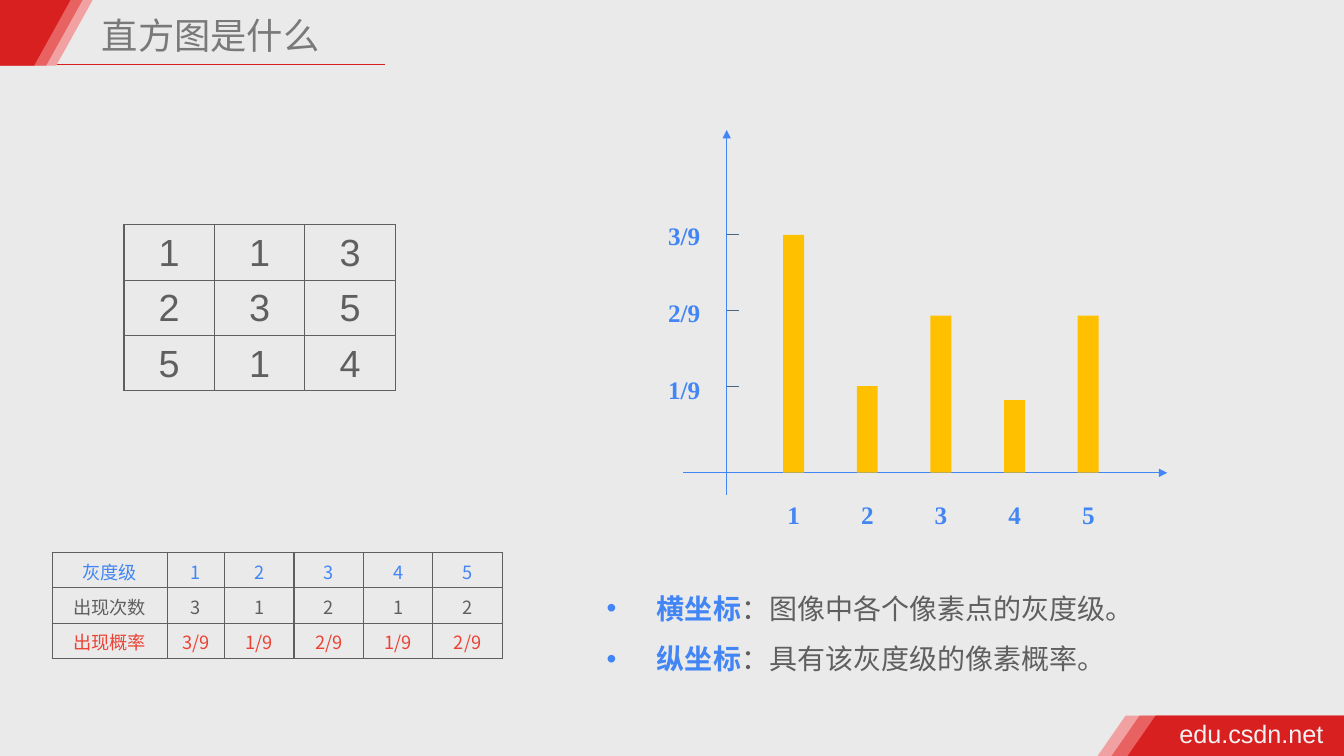
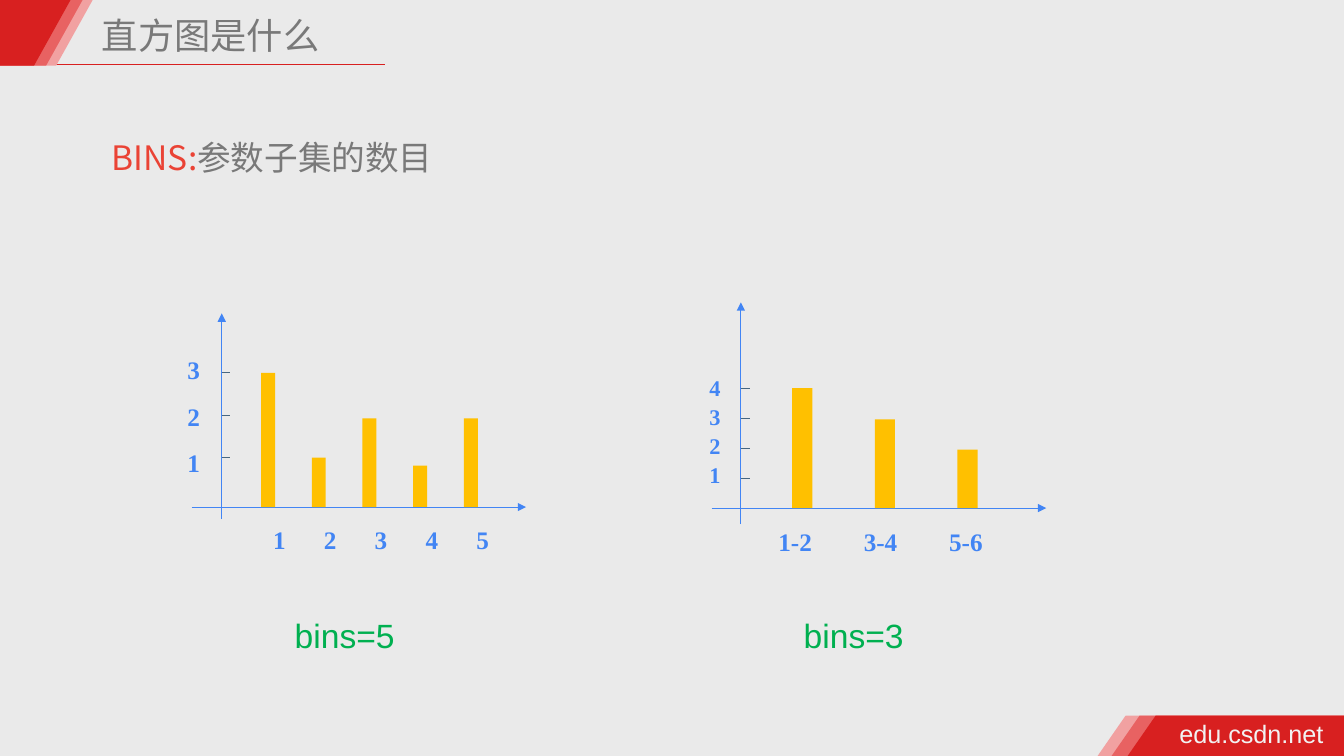
from lxml.etree import SubElement
from pptx import Presentation
from pptx.dml.color import RGBColor
from pptx.enum.shapes import MSO_CONNECTOR, MSO_SHAPE
from pptx.enum.text import MSO_ANCHOR, PP_ALIGN
from pptx.oxml.ns import qn
from pptx.util import Pt

COLORS = {
    "background": "EAEAEA", "red": "D82020", "coral": "E86262", "pink": "F1A1A1",
    "footer": "F2F2F2", "title": "797979", "body": "5F5F5F", "blue": "4285F4",
    "accent": "EA4335", "bar": "FFC000", "tick": "476781", "green": "00B050",
}
SANS, CJK, SERIF = "Arial", "Noto Sans CJK SC", "Times New Roman"
WIDTH, HEIGHT = 960, 540

# Content
TITLE = "直方图是什么"
FOOTER = "edu.csdn.net"
PIXELS = {
    "at": (88.6, 160.6), "columns": [64.6] * 3, "row": 39.5,
    "rows": [["1", "1", "3"], ["2", "3", "5"], ["5", "1", "4"]],
    "colors": ["body"] * 3, "font": {"size": 27, "name": SANS},
}
FREQUENCIES = {
    "at": (37.4, 394.6), "columns": [82.1, 41] + [49.6] * 4, "row": 25.3,
    "rows": [
        ["灰度级", "1", "2", "3", "4", "5"],
        ["出现次数", "3", "1", "2", "1", "2"],
        ["出现概率", "3/9", "1/9", "2/9", "1/9", "2/9"],
    ],
    "colors": ["blue", "body", "accent"], "font": {"size": 13, "name": CJK},
}
AXIS_NOTES = [
    ("横坐标", "：图像中各个像素点的灰度级。"),
    ("纵坐标", "：具有该灰度级的像素概率。"),
]
BINS_HEADING = [("BINS:", "accent"), ("参数子集的数目", "title")]
BINS_CAPTIONS = [("bins=5", 246.2), ("bins=3", 609.8)]

# Histograms: "first, step" pairs place the bars, ticks and labels
PROBABILITY = {
    "x_axis": (488.2, 833.8, 337.7), "y_axis": (519.1, 353.5, 92.9),
    "bars": (559.4, 52.6), "bar_width": 15,
    "bar_tops": [167.8, 275.8, 225.4, 285.8, 225.4],
    "x_labels": ["1", "2", "3", "4", "5"], "x_centers": (567, 52.6), "x_label_top": 352.8,
    "y_labels": ["3/9", "2/9", "1/9"], "y_label_at": (470.2, 154), "y_label_step": 55.1,
    "ticks": (167.8, 54), "tick_length": 8.6, "y_label_size": 18,
}
FIVE_BINS = {
    "x_axis": (136.8, 375.8, 362.2), "y_axis": (158.4, 370.8, 223.9),
    "bars": (186.5, 36.2), "bar_width": 10,
    "bar_tops": [266.4, 326.9, 298.8, 332.6, 298.8],
    "x_labels": ["1", "2", "3", "4", "5"], "x_centers": (199.6, 36.3), "x_label_top": 370.8,
    "y_labels": ["3", "2", "1"], "y_label_at": (126.7, 249.8), "y_label_step": 33.1,
    "ticks": (266.4, 30.3), "tick_length": 5.8, "y_label_size": 18,
}
THREE_BINS = {
    "x_axis": (508.3, 747.4, 362.9), "y_axis": (529.2, 374.4, 216),
    "bars": (565.9, 59), "bar_width": 14.4,
    "bar_tops": [277.2, 299.5, 321.1],
    "x_labels": ["1-2", "3-4", "5-6"], "x_centers": (568, 61), "x_label_top": 372.2,
    "y_labels": ["4", "3", "2", "1"], "y_label_at": (499.7, 264), "y_label_step": 20.7,
    "ticks": (277.2, 21.6), "tick_length": 6.5, "y_label_size": 16,
}

# Slanted bands: horizontal position of the outer corner of each layer
HEADER_LAYERS = [("pink", 66.2), ("coral", 59), ("red", 50.4)]
FOOTER_LAYERS = [("pink", 784), ("coral", 794), ("red", 805.5)]
HEADER_HEIGHT, FOOTER_TOP = 46.8, 511.2


def rgb(name):
    return RGBColor.from_string(COLORS[name])


def add_spans(para, spans, font):
    """Spans are (text, colour name, extra font values)."""
    for text, color, extra in spans:
        span = para.add_run()
        span.text = text
        values = {**font, **extra}
        for key, value in values.items():
            setattr(span.font, key, Pt(value) if key == "size" else value)
        span.font.color.rgb = rgb(color)
        SubElement(span.font._element, qn("a:ea"), typeface=values["name"])


def set_margins(target, left, top, right, bottom):
    margins = {"left": left, "top": top, "right": right, "bottom": bottom}
    for side, value in margins.items():
        setattr(target, f"margin_{side}", Pt(value))


def add_text(page, at, paras, font, align=PP_ALIGN.LEFT, anchor=MSO_ANCHOR.TOP,
             margins=(7.2, 3.6, 7.2, 3.6), spacing=None, bullet=False):
    box = page.shapes.add_textbox(*map(Pt, at))
    frame = box.text_frame
    frame.word_wrap = True
    frame.vertical_anchor = anchor
    set_margins(frame, *margins)
    for index, spans in enumerate(paras):
        para = frame.add_paragraph() if index else frame.paragraphs[0]
        para.alignment = align
        if spacing:
            para.line_spacing = spacing
        if bullet:
            properties = para._p.get_or_add_pPr()
            properties.set("marL", str(Pt(36)))
            properties.set("indent", str(-Pt(36)))
            SubElement(properties, qn("a:buFont"), typeface=SANS)
            SubElement(properties, qn("a:buChar"), char="•")
        add_spans(para, spans, font)


def add_line(page, start, end, color, width=0.75, arrow=False):
    line = page.shapes.add_connector(MSO_CONNECTOR.STRAIGHT, *map(Pt, start + end))
    line.line.color.rgb = rgb(color)
    line.line.width = Pt(width)
    properties = line._element.spPr
    if arrow:
        SubElement(properties.find(qn("a:ln")), qn("a:tailEnd"), type="triangle")
    SubElement(properties, qn("a:effectLst"))


def paint(shape, color):
    shape.shadow.inherit = False
    shape.fill.solid()
    shape.fill.fore_color.rgb = rgb(color)
    shape.line.fill.background()


def add_band(page, corners, color):
    points = [(Pt(x), Pt(y)) for x, y in corners]
    builder = page.shapes.build_freeform(*points[0])
    builder.add_line_segments(points[1:], close=True)
    paint(builder.convert_to_shape(), color)


def add_page(deck):
    """Blank page with the shared bands, title and footer."""
    page = deck.slides.add_slide(deck.slide_layouts[6])
    page.background.fill.solid()
    page.background.fill.fore_color.rgb = rgb("background")
    add_line(page, (35.3, 46.1), (275, 46.1), "red", 1)
    for color, x in FOOTER_LAYERS:
        add_band(page, [(x, HEIGHT), (x + 20, FOOTER_TOP),
                        (WIDTH, FOOTER_TOP), (WIDTH, HEIGHT)], color)
    for color, x in HEADER_LAYERS:
        add_band(page, [(0, 0), (x, 0), (x - 26, HEADER_HEIGHT), (0, HEADER_HEIGHT)], color)
    tight = (3.6, 3.6, 3.6, 3.6)
    add_text(page, (829, 509.8, 120, 28.8), [[(FOOTER, "footer", {})]],
             {"size": 18, "name": SANS}, align=PP_ALIGN.RIGHT, margins=tight)
    add_text(page, (69.1, 3.6, 278, 40.3), [[(TITLE, "title", {})]],
             {"size": 25.9, "name": CJK}, anchor=MSO_ANCHOR.MIDDLE, margins=tight, spacing=1.1)
    return page


def add_border(cell):
    properties = cell._tc.get_or_add_tcPr()
    for index, side in enumerate(("lnL", "lnR", "lnT", "lnB")):
        edge = SubElement(properties, qn(f"a:{side}"), w=str(Pt(1)))
        fill = SubElement(edge, qn("a:solidFill"))
        SubElement(fill, qn("a:srgbClr"), val=COLORS["body"])
        properties.insert(index, edge)


def add_grid(page, grid):
    rows, columns = grid["rows"], grid["columns"]
    size = (sum(columns), grid["row"] * len(rows))
    table = page.shapes.add_table(len(rows), len(columns), *map(Pt, grid["at"] + size)).table
    table.first_row = table.horz_banding = False
    for column, width in zip(table.columns, columns):
        column.width = Pt(width)
    for row, texts, color in zip(table.rows, rows, grid["colors"]):
        row.height = Pt(grid["row"])
        for cell, text in zip(row.cells, texts):
            set_margins(cell, 1.4, 1.4, 1.4, 0)
            cell.vertical_anchor = MSO_ANCHOR.MIDDLE
            cell.fill.background()
            add_border(cell)
            para = cell.text_frame.paragraphs[0]
            para.alignment = PP_ALIGN.CENTER
            add_spans(para, [(text, color, {})], grid["font"])


def add_histogram(page, chart):
    left, right, baseline = chart["x_axis"]
    axis_x, bottom, top = chart["y_axis"]
    add_line(page, (left, baseline), (right, baseline), "blue", arrow=True)
    add_line(page, (axis_x, bottom), (axis_x, top), "blue", arrow=True)
    font = {"size": 18, "name": SERIF, "bold": True}

    # Bars with their labels
    bar_x, bar_step = chart["bars"]
    center, center_step = chart["x_centers"]
    for index, (label, bar_top) in enumerate(zip(chart["x_labels"], chart["bar_tops"])):
        place = (bar_x + index * bar_step, bar_top, chart["bar_width"], baseline - bar_top)
        paint(page.shapes.add_shape(MSO_SHAPE.RECTANGLE, *map(Pt, place)), "bar")
        add_text(page, (center + index * center_step - 26, chart["x_label_top"], 52, 28.8),
                 [[(label, "blue", {})]], font, align=PP_ALIGN.CENTER)

    # Ticks with their labels
    tick_y, tick_step = chart["ticks"]
    label_x, label_y = chart["y_label_at"]
    for index, label in enumerate(chart["y_labels"]):
        y = tick_y + index * tick_step
        add_line(page, (axis_x, y), (axis_x + chart["tick_length"], y), "tick")
        add_text(page, (label_x, label_y + index * chart["y_label_step"], 44, 28.8),
                 [[(label, "blue", {})]], {**font, "size": chart["y_label_size"]})


def main():
    deck = Presentation()
    deck.slide_width, deck.slide_height = Pt(WIDTH), Pt(HEIGHT)

    # Definition of a histogram
    page = add_page(deck)
    add_grid(page, PIXELS)
    notes = [[(term, "blue", {"bold": True}), (meaning, "body", {})]
             for term, meaning in AXIS_NOTES]
    add_text(page, (426.2, 406.8, 407.5, 75.6), notes, {"size": 20, "name": CJK},
             spacing=1.5, bullet=True)
    add_grid(page, FREQUENCIES)
    add_histogram(page, PROBABILITY)

    # Number of bins
    page = add_page(deck)
    add_text(page, (20.9, 94.3, 347, 36), [[(text, color, {}) for text, color in BINS_HEADING]],
             {"size": 24, "name": CJK}, align=PP_ALIGN.CENTER)
    for chart in (FIVE_BINS, THREE_BINS):
        add_histogram(page, chart)
    for caption, center in BINS_CAPTIONS:
        add_text(page, (center - 60, 435.6, 120, 36), [[(caption, "green", {})]],
                 {"size": 24, "name": SANS}, align=PP_ALIGN.CENTER)

    deck.save("out.pptx")


if __name__ == "__main__":
    main()
